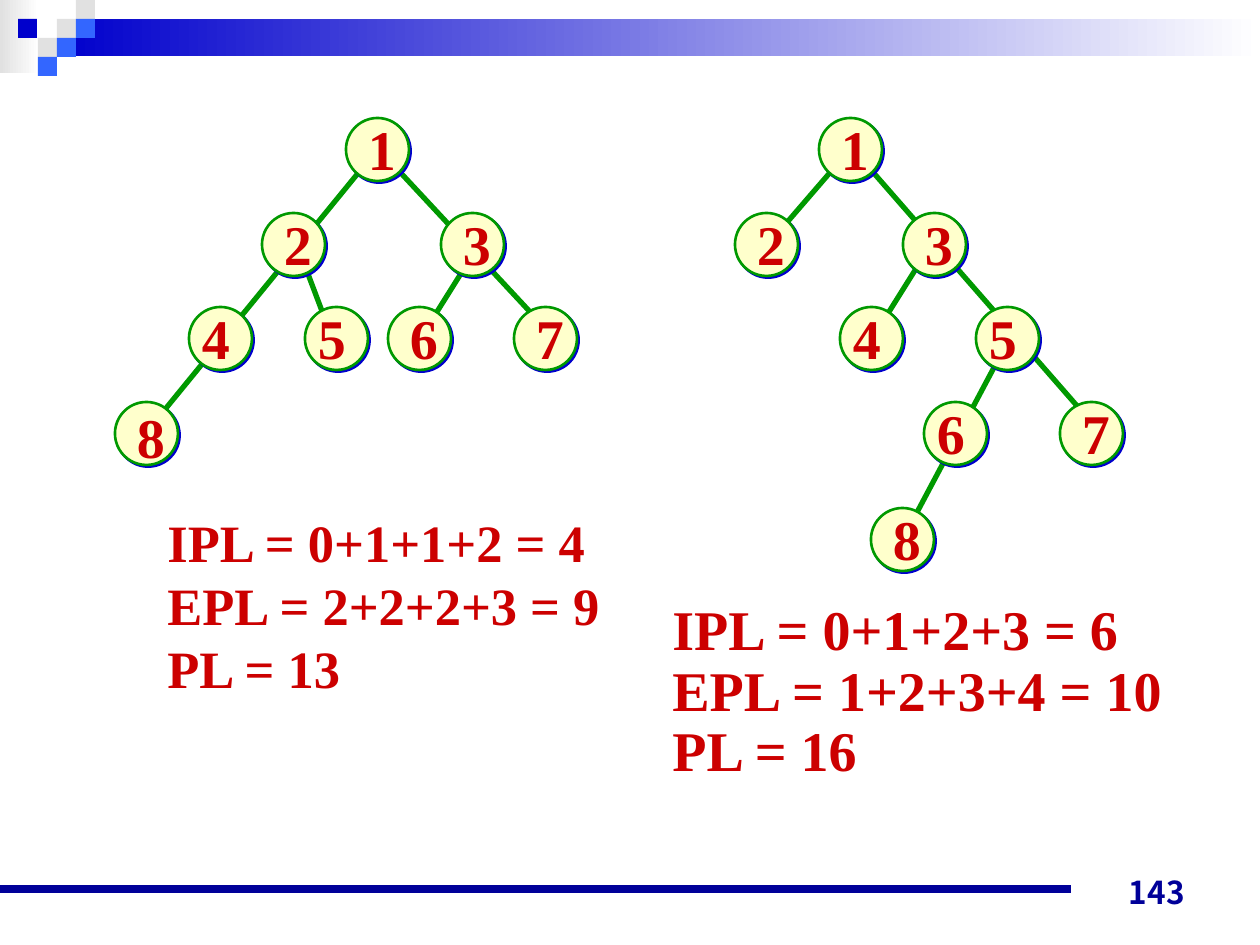
from lxml import etree
from pptx import Presentation
from pptx.dml.color import RGBColor
from pptx.enum.shapes import MSO_CONNECTOR, MSO_SHAPE
from pptx.enum.text import MSO_ANCHOR, PP_ALIGN
from pptx.oxml.ns import qn
from pptx.util import Pt

RECTANGLE, OVAL = MSO_SHAPE.RECTANGLE, MSO_SHAPE.OVAL
STRAIGHT = MSO_CONNECTOR.STRAIGHT
LEFT, CENTER, RIGHT = PP_ALIGN.LEFT, PP_ALIGN.CENTER, PP_ALIGN.RIGHT
MIDDLE, BOTTOM = MSO_ANCHOR.MIDDLE, MSO_ANCHOR.BOTTOM

PX = 914400 / 126
WIDTH, HEIGHT = 1260, 945
SERIF, SANS = "Times New Roman", "Noto Sans CJK JP"
RED, NAVY, BLUE, SKY = "CC0000", "000099", "0000CC", "3366FF"
GREEN, CREAM, GRAY, WHITE = "009900", "FFFFCC", "E1E1E1", "FFFFFF"

BANDS = [((0, 0, 39, 73), GRAY), ((57, 19, 1203, 37), BLUE)]
TILE = 19
TILES = [(57, 19, GRAY), (76, 0, GRAY), (76, 19, SKY), (38, 38, GRAY),
         (18, 19, BLUE), (57, 38, SKY), (38, 57, SKY)]

NODE = 63
LABEL_WIDTH, LABEL_HEIGHT = 74, 80
LEVEL_TOPS = [118, 213, 307, 402, 508]
# (label, level, left, label shift x, label shift y)
TREES = [
    {
        "edges": [(472, 256, 420, 339), (305, 266, 325, 319),
                  (399, 171, 546, 329), (368, 161, 136, 445)],
        "nodes": [("1", 0, 346, -1, -10), ("2", 1, 262, -1, -10),
                  ("3", 1, 441, -1, -10), ("4", 2, 189, -10, -10),
                  ("5", 2, 305, -10, -10), ("6", 2, 388, -1, -10),
                  ("7", 2, 514, -1, -10), ("8", 3, 115, -1, -6)],
        "lengths": ["IPL = 0+1+1+2 = 4", "EPL = 2+2+2+3 = 9", "PL = 13"],
        "place": (155, 504, 460, 202), "size": 30, "spacing": 1.0,
    },
    {
        "edges": [(924, 256, 872, 339), (998, 360, 914, 518),
                  (872, 171, 1092, 423), (840, 161, 777, 234)],
        "nodes": [("1", 0, 819, -1, -10), ("2", 1, 735, -1, -10),
                  ("3", 1, 903, -1, -10), ("4", 2, 840, -10, -10),
                  ("5", 2, 976, -10, -10), ("6", 3, 924, -10, -10),
                  ("7", 3, 1060, -1, -10), ("8", 4, 871, -1, -10)],
        "lengths": ["IPL = 0+1+2+3 = 6", "EPL = 1+2+3+4 = 10", "PL = 16"],
        "place": (660, 596, 518, 194), "size": 32, "spacing": 0.9,
    },
]


def emu(*lengths):
    return [round(length * PX) for length in lengths]


def color(value):
    return RGBColor.from_string(value)


def add_block(page, kind, place, fill, fade=None):
    block = page.shapes.add_shape(kind, *emu(*place))
    block.shadow.inherit = False
    block.line.fill.background()
    if fade:
        block.fill.gradient()
        block.fill.gradient_angle = 0
        for stop, shade in zip(block.fill.gradient_stops, (fill, fade)):
            stop.color.rgb = color(shade)
    else:
        block.fill.solid()
        block.fill.fore_color.rgb = color(fill)
    return block


def add_line(page, ends, stroke, width):
    line = page.shapes.add_connector(STRAIGHT, *emu(*ends))
    line.line.color.rgb = color(stroke)
    line.line.width = Pt(width)
    etree.SubElement(line._element.spPr, qn("a:effectLst"))


def add_node(page, place):
    node = add_block(page, OVAL, place, CREAM)
    node.line.color.rgb = color(GREEN)
    node.line.width = Pt(1.5)
    effects = node._element.spPr.find(qn("a:effectLst"))
    shadow = etree.SubElement(effects, qn("a:outerShdw"), dist=str(Pt(1.4)),
                              dir="2700000", algn="ctr", rotWithShape="0")
    etree.SubElement(shadow, qn("a:srgbClr"), val=BLUE)


def add_text(page, lines, place, size=32, font=SERIF, ink=RED, align=LEFT,
             anchor=MIDDLE, wrap=True, spacing=1.0):
    box = page.shapes.add_textbox(*emu(*place))
    frame = box.text_frame
    frame.word_wrap = wrap
    frame.vertical_anchor = anchor
    for index, line in enumerate(lines):
        para = frame.add_paragraph() if index else frame.paragraphs[0]
        para.alignment = align
        para.line_spacing = spacing
        span = para.add_run()
        span.text = line
        span.font.size = Pt(size)
        span.font.name = font
        span.font.bold = True
        span.font.color.rgb = color(ink)


def add_tree(page, tree):
    for ends in tree["edges"]:
        add_line(page, ends, GREEN, 3)
    for label, level, left, shift_x, shift_y in tree["nodes"]:
        top = LEVEL_TOPS[level]
        add_node(page, (left, top, NODE, NODE))
        add_text(page, [label], (left + shift_x, top + shift_y, LABEL_WIDTH, LABEL_HEIGHT),
                 align=CENTER)
    add_text(page, tree["lengths"], tree["place"], size=tree["size"],
             spacing=tree["spacing"], wrap=False)


def main():
    deck = Presentation()
    deck.slide_width, deck.slide_height = emu(WIDTH, HEIGHT)
    page = deck.slides.add_slide(deck.slide_layouts[6])
    for place, fill in BANDS:
        add_block(page, RECTANGLE, place, fill, fade=WHITE)
    for left, top, fill in TILES:
        add_block(page, RECTANGLE, (left, top, TILE, TILE), fill)
    add_line(page, (0, 889, 1071, 889), NAVY, 4.5)
    add_text(page, ["143"], (903, 854, 294, 63), size=18, font=SANS, ink=NAVY,
             align=RIGHT, anchor=BOTTOM)
    for tree in TREES:
        add_tree(page, tree)
    deck.save("out.pptx")


if __name__ == "__main__":
    main()
